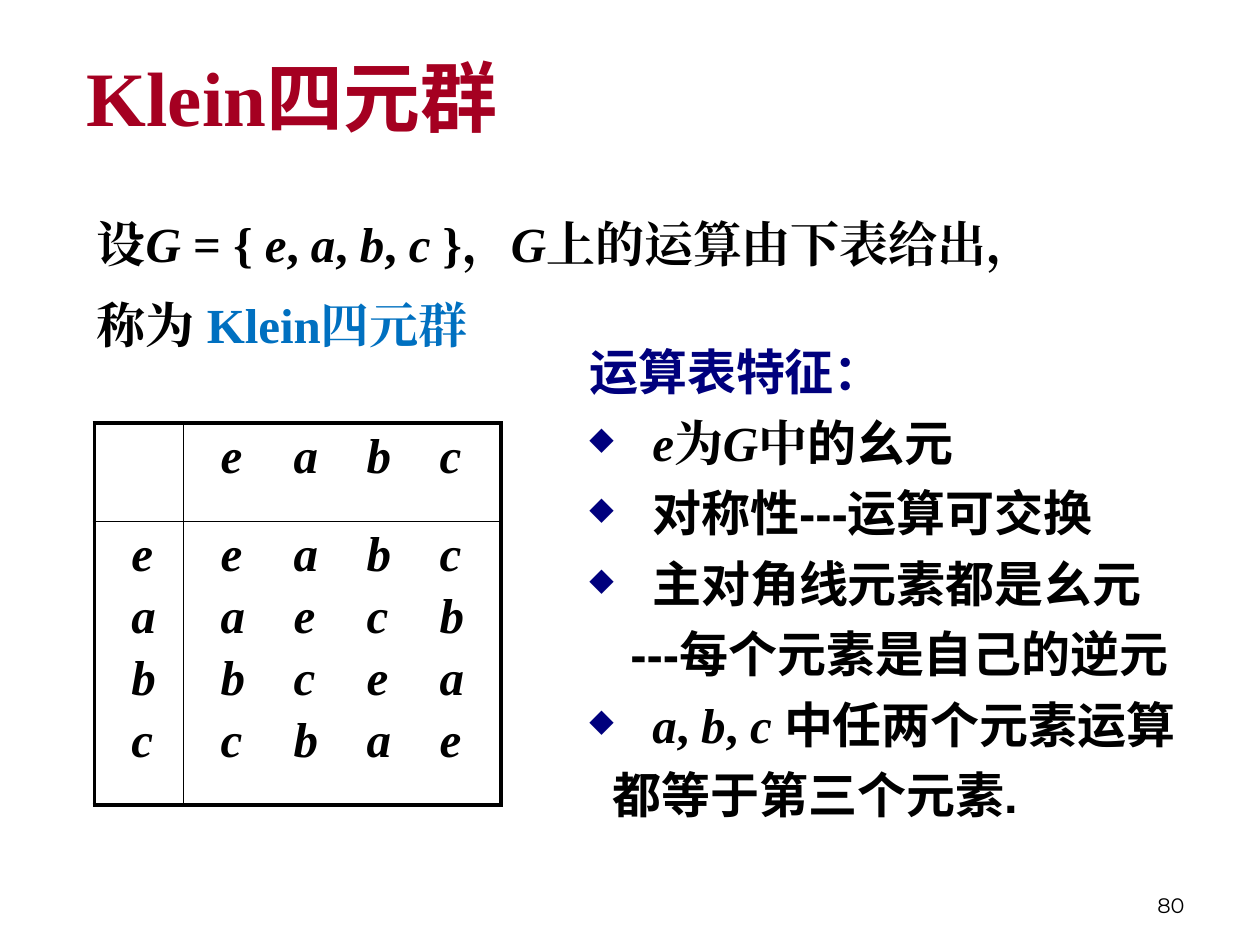
from lxml.etree import SubElement as Sub
from pptx import Presentation
from pptx.dml.color import RGBColor
from pptx.enum.text import MSO_ANCHOR as Anchor, PP_ALIGN as Align
from pptx.oxml.ns import qn
from pptx.util import Cm, Pt

RED = RGBColor(0xA5, 0x00, 0x21)
BLUE = RGBColor(0x00, 0x70, 0xC0)
NAVY = RGBColor(0x00, 0x00, 0x7D)
BLACK = RGBColor(0x00, 0x00, 0x00)
SERIF = "Times New Roman"
SANS = "Arial"
THICK, THIN = Pt(2.25), Pt(1)
LINE = Pt(40.3)
GROUP = ["eabc", "aecb", "bcea", "cbae"]


def add_box(slide, left, top, width, height, anchor=Anchor.TOP):
    box = slide.shapes.add_textbox(Cm(left), Cm(top), Cm(width), Cm(height))
    frame = box.text_frame
    frame.word_wrap = True
    frame.vertical_anchor = anchor
    return frame


def next_para(frame):
    first = frame.paragraphs[0]
    return frame.add_paragraph() if first.runs else first


def style(run, face, color, size=28, bold=True, slant=False):
    font = run.font
    font.name, font.size = face, Pt(size)
    font.bold, font.italic = bold, slant
    font.color.rgb = color
    Sub(run._r.get_or_add_rPr(), qn("a:ea"), typeface=face)


def write(para, text, face=SERIF, color=BLACK, size=28, bold=True):
    for i, part in enumerate(text.split("*")):
        if part:
            run = para.add_run()
            run.text = part
            style(run, face, color, size, bold, slant=i % 2 == 1)


def indent(para, left, first=0):
    props = para._p.get_or_add_pPr()
    props.set("marL", str(Cm(left)))
    props.set("indent", str(Cm(first)))
    return props


def add_bullet(para):
    props = indent(para, 1.27, -1.27)
    tint = Sub(props, qn("a:buClr"))
    Sub(tint, qn("a:srgbClr"), val=str(NAVY))
    Sub(props, qn("a:buSzPct"), val="65000")
    Sub(props, qn("a:buChar"), char="◆")


def add_tabs(para, step, count):
    stops = Sub(para._p.get_or_add_pPr(), qn("a:tabLst"))
    for i in range(1, count + 1):
        Sub(stops, qn("a:tab"), pos=str(Cm(step * i)), algn="l")


def add_edges(cell, row, col):
    props = cell._tc.get_or_add_tcPr()
    outer = {"lnL": col == 0, "lnR": col == 1, "lnT": row == 0, "lnB": row == 1}
    for tag, thick in outer.items():
        edge = Sub(props, qn("a:" + tag), w=str(THICK if thick else THIN))
        fill = Sub(edge, qn("a:solidFill"))
        Sub(fill, qn("a:srgbClr"), val=str(BLACK))


def fill_cell(cell, lines):
    cell.margin_left = Cm(0.75)
    for i, line in enumerate(lines):
        para = next_para(cell.text_frame)
        para.text = "\t".join(line)
        if i:
            para.space_before = Pt(4.4)
        if len(line) > 1:
            add_tabs(para, 1.47, len(line) - 1)
        style(para.runs[0], SERIF, BLACK, slant=True)


def add_group(slide):
    frame = slide.shapes.add_table(2, 2, Cm(1.9), Cm(8.53), Cm(8.2), Cm(7.7))
    table = frame.table
    table.first_row = table.horz_banding = False
    for col, width in zip(table.columns, (1.8, 6.4)):
        col.width = Cm(width)
    for row, height in zip(table.rows, (1.98, 5.72)):
        row.height = Cm(height)
    head = GROUP[0]
    parts = [[[], [head]], [list(head), GROUP]]
    for r, row in enumerate(parts):
        for c, lines in enumerate(row):
            cell = table.cell(r, c)
            add_edges(cell, r, c)
            cell.fill.background()
            fill_cell(cell, lines)


def add_title(slide):
    para = add_box(slide, 1.5, 0.03, 22.86, 3.81, Anchor.MIDDLE).paragraphs[0]
    write(para, "Klein", SERIF, RED, 44)
    write(para, "四元群", SANS, RED, 44)


def add_intro(slide):
    frame = add_box(slide, 1.7, 3.94, 21.8, 3.4)
    first = next_para(frame)
    write(first, "设*G *= { *e*, *a*, *b*, *c *}，*G*上的运算由下表给出，")
    last = next_para(frame)
    write(last, "称为 ")
    write(last, "Klein四元群", color=BLUE)
    last.space_before = Pt(6)
    for para in frame.paragraphs:
        para.line_spacing = LINE
        indent(para, 0.95, -0.95)


def add_traits(slide):
    frame = add_box(slide, 11.63, 6.53, 12.8, 11)
    write(next_para(frame), "运算表特征：", SANS, NAVY)
    traits = [
        (None, "*e*为*G*中", "的幺元"),
        (None, "", "对称性---运算可交换"),
        (None, "", "主对角线元素都是幺元"),
        (0.83, "", "---每个元素是自己的逆元"),
        (None, "*a*, *b*, *c *", "中任两个元素运算"),
        (0.47, "", "都等于第三个元素."),
    ]
    for left, math, text in traits:
        para = next_para(frame)
        if left is None:
            add_bullet(para)
        else:
            indent(para, left)
        write(para, math)
        write(para, text, SANS)
    for para in frame.paragraphs:
        para.line_spacing = LINE


def add_number(slide):
    para = add_box(slide, 18.2, 17.35, 5.93, 1.27, Anchor.BOTTOM).paragraphs[0]
    para.alignment = Align.RIGHT
    write(para, "80", "Montserrat", size=12, bold=False)


def main():
    deck = Presentation()
    deck.slide_width, deck.slide_height = Cm(25.4), Cm(19.05)
    slide = deck.slides.add_slide(deck.slide_layouts[6])
    add_number(slide)
    add_title(slide)
    add_intro(slide)
    add_group(slide)
    add_traits(slide)
    deck.save("out.pptx")


if __name__ == "__main__":
    main()
